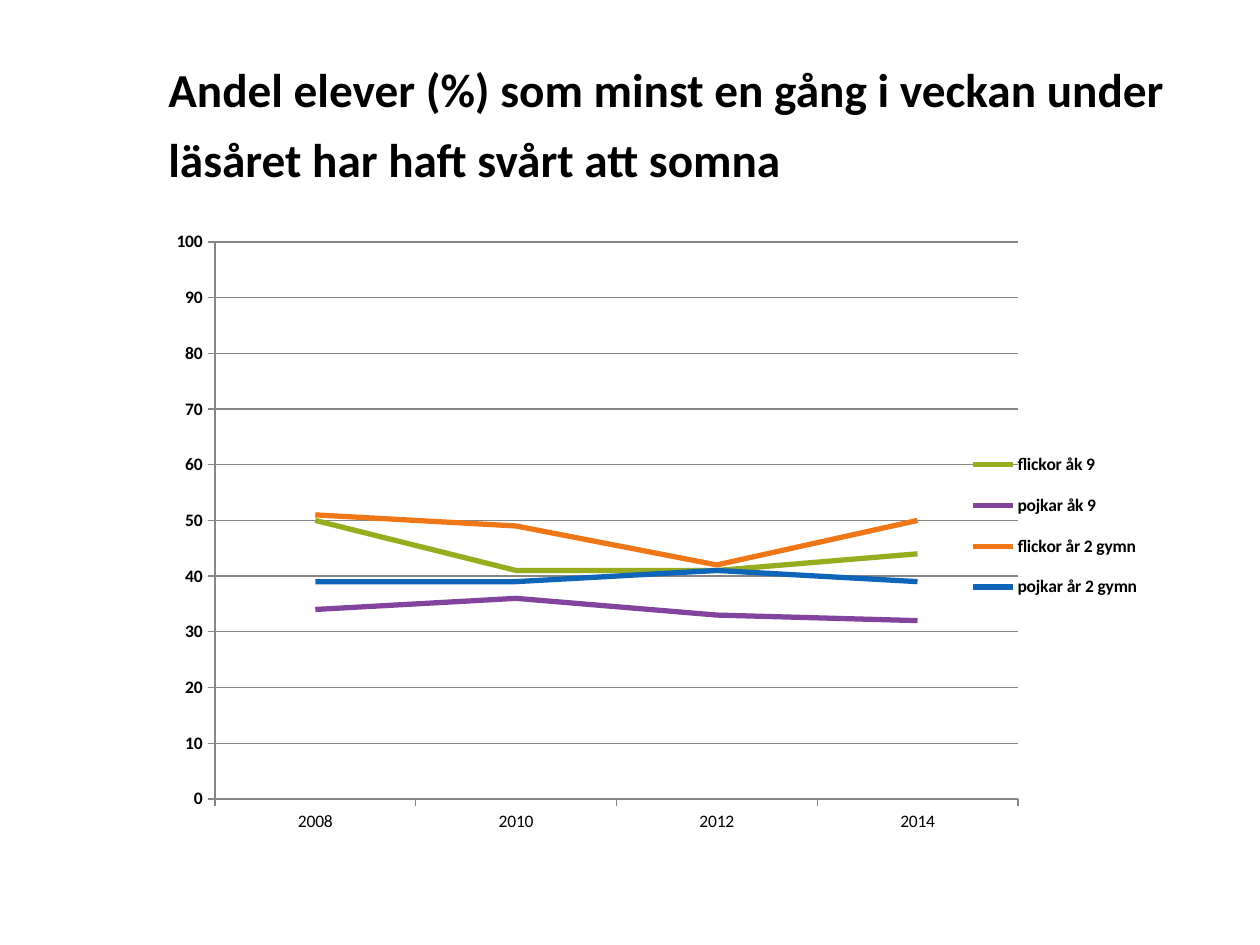
from lxml import etree
from pptx import Presentation
from pptx.chart.data import CategoryChartData
from pptx.dml.color import RGBColor
from pptx.enum.chart import XL_CHART_TYPE, XL_LEGEND_POSITION, XL_TICK_MARK
from pptx.enum.text import MSO_ANCHOR
from pptx.oxml.ns import qn
from pptx.util import Emu, Pt

LINE = XL_CHART_TYPE.LINE
RIGHT = XL_LEGEND_POSITION.RIGHT
OUT = XL_TICK_MARK.OUTSIDE
MIDDLE = MSO_ANCHOR.MIDDLE

FONT = "Calibri"
COLORS = {
    "text": "000000",
    "grid": "868686",
    "girls 9": "97AC1E",
    "boys 9": "83449D",
    "girls 2": "F07717",
    "boys 2": "0F65B8",
}
TITLE = "Andel elever (%) som minst en gång i veckan under läsåret har haft svårt att somna"
YEARS = ["2008", "2010", "2012", "2014"]
SERIES = [
    ("flickor åk 9", [50, 41, 41, 44], "girls 9"),
    ("pojkar åk 9", [34, 36, 33, 32], "boys 9"),
    ("flickor år 2 gymn", [51, 49, 42, 50], "girls 2"),
    ("pojkar år 2 gymn", [39, 39, 41, 39], "boys 2"),
]


def px(n):
    return Emu(round(n * 914400 / 126))


def paint(target, name):
    target.rgb = RGBColor.from_string(COLORS[name])


def style(font, size, bold):
    font.name = FONT
    font.size = Pt(size)
    font.bold = bold
    paint(font.color, "text")


def place(node, index, box, area, inner=False):
    """Fix a chart part at box (px inside the chart) by a manual layout."""
    old = node.find(qn("c:layout"))
    if old is not None:
        node.remove(old)
    layout = etree.Element(qn("c:layout"))
    manual = etree.SubElement(layout, qn("c:manualLayout"))
    x, y, w, h = box
    wide, high = area
    items = [("layoutTarget", "inner")] if inner else []
    items += [("xMode", "edge"), ("yMode", "edge"),
              ("x", x / wide), ("y", y / high), ("w", w / wide), ("h", h / high)]
    for tag, val in items:
        text = val if isinstance(val, str) else f"{val:.4f}"
        etree.SubElement(manual, qn("c:" + tag)).set("val", text)
    node.insert(index, layout)


def add_title(slide, x, y, w, h):
    frame = slide.shapes.add_textbox(px(x), px(y), px(w), px(h)).text_frame
    frame.word_wrap = True
    frame.vertical_anchor = MIDDLE
    para = frame.paragraphs[0]
    para.line_spacing = Pt(40)
    run = para.add_run()
    run.text = TITLE
    style(run.font, 27, True)


def style_axis(axis, bold):
    axis.major_tick_mark = OUT
    style(axis.tick_labels.font, 10, bold)
    paint(axis.format.line.color, "grid")
    axis.format.line.width = Pt(0.75)


def add_trend(slide, x, y, w, h):
    data = CategoryChartData()
    data.categories = YEARS
    for name, vals, _ in SERIES:
        data.add_series(name, vals)
    chart = slide.shapes.add_chart(LINE, px(x), px(y), px(w), px(h), data).chart
    chart.has_title = False
    style(chart.font, 10, False)

    plot = chart.plots[0]
    plot.vary_by_categories = False
    for line, (_, _, color) in zip(plot.series, SERIES):
        line.smooth = False
        line.format.line.width = Pt(3)
        paint(line.format.line.color, color)

    style_axis(chart.category_axis, False)
    scale = chart.value_axis
    style_axis(scale, True)
    scale.minimum_scale, scale.maximum_scale, scale.major_unit = 0, 100, 10
    scale.has_major_gridlines = True
    grid = scale.major_gridlines.format.line
    grid.width = Pt(0.75)
    paint(grid.color, "grid")

    chart.has_legend = True
    legend = chart.legend
    legend.position = RIGHT
    legend.include_in_layout = False
    style(legend.font, 10, True)

    body = chart.element.find(qn("c:chart"))
    place(body.find(qn("c:plotArea")), 0, (59, 22, 803, 557), (w, h), inner=True)
    place(body.find(qn("c:legend")), 1, (808, 214, 182, 184), (w, h))


def main():
    deck = Presentation()
    deck.slide_width, deck.slide_height = px(1260), px(945)
    slide = deck.slides.add_slide(deck.slide_layouts[6])
    add_title(slide, 156, 38, 1070, 157)
    add_trend(slide, 156, 220, 1070, 624)
    deck.save("out.pptx")


if __name__ == "__main__":
    main()
